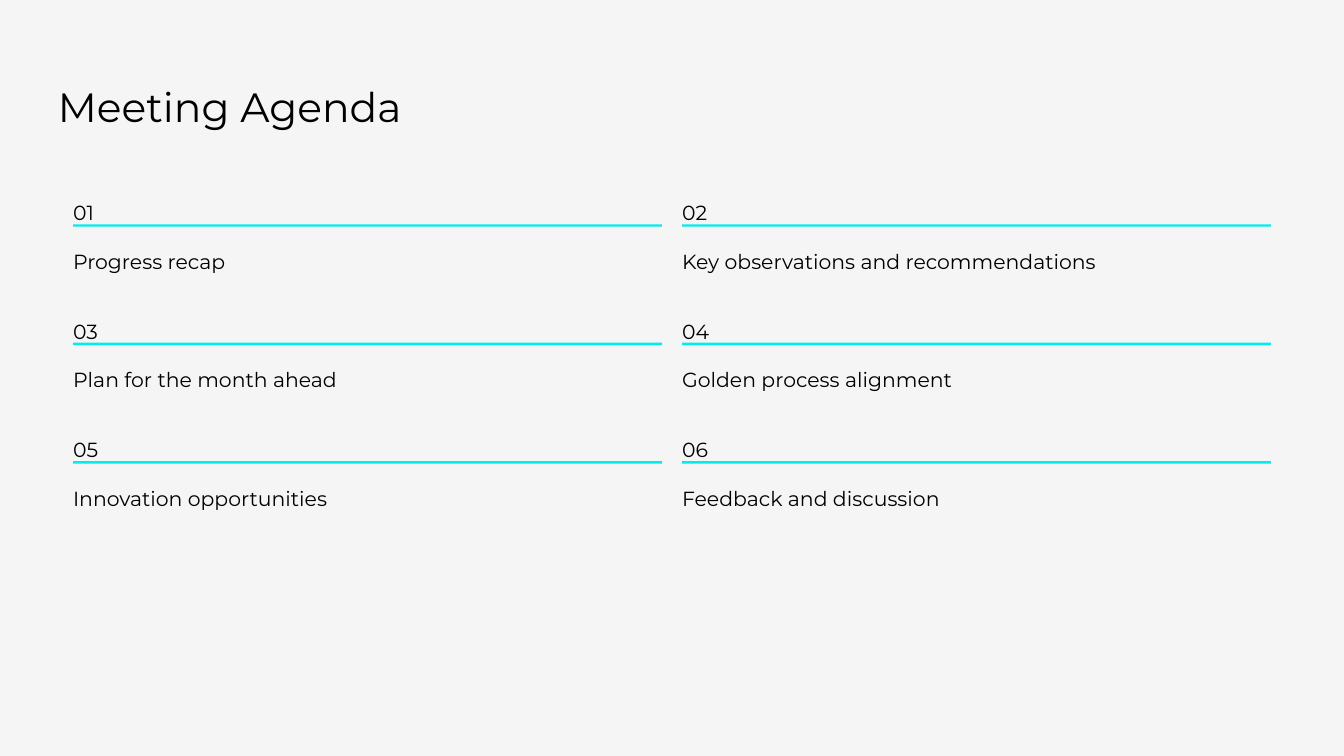
from pptx import Presentation
from pptx.dml.color import RGBColor
from pptx.enum.shapes import MSO_SHAPE
from pptx.enum.text import MSO_ANCHOR, MSO_AUTO_SIZE, PP_ALIGN
from pptx.util import Inches, Pt

RECT = MSO_SHAPE.RECTANGLE
TOP = MSO_ANCHOR.TOP
LEFT = PP_ALIGN.LEFT
NO_FIT = MSO_AUTO_SIZE.NONE

COLORS = {"background": "F5F5F5", "text": "000000", "rule": "00EDED"}
FONT = "Montserrat"
TITLE = "Meeting Agenda"
AGENDA = [
    "Progress recap",
    "Key observations and recommendations",
    "Plan for the month ahead",
    "Golden process alignment",
    "Innovation opportunities",
    "Feedback and discussion",
]
COLUMNS = 2
COLUMN_STEP, ROW_STEP = 7.25, 1.41
ITEM_WIDTH = 7.01


def rgb(name):
    """Return the named palette colour."""
    return RGBColor.from_string(COLORS[name])


def place(shape, left, top, width, height):
    """Move a shape to a box given in inches."""
    box = {"left": left, "top": top, "width": width, "height": height}
    for name, value in box.items():
        setattr(shape, name, Inches(value))


def write(shape, text, size, line_spacing):
    """Fill a shape with one left-aligned line of text."""
    tf = shape.text_frame
    frame_format = {
        "margin_left": 0, "margin_top": 0, "margin_right": 0, "margin_bottom": 0,
        "word_wrap": False, "auto_size": NO_FIT, "vertical_anchor": TOP,
    }
    for name, value in frame_format.items():
        setattr(tf, name, value)
    p = tf.paragraphs[0]
    p.alignment = LEFT
    p.line_spacing = Pt(line_spacing)
    r = p.add_run()
    r.text = text
    for name, value in {"name": FONT, "size": Pt(size), "bold": False}.items():
        setattr(r.font, name, value)
    r.font.color.rgb = rgb("text")


def add_label(s, text, left, top, width, height):
    """Add a line of agenda text."""
    tb = s.shapes.add_textbox(0, 0, 0, 0)
    place(tb, left, top, width, height)
    write(tb, text, 17.5, 28.5)


def add_item(s, number, topic, left, top, width):
    """Add a numbered agenda item with a rule between number and topic."""
    add_label(s, f"{number:02d}", left, top, 0.25, 0.31)
    rule = s.shapes.add_shape(RECT, 0, 0, 0, 0)
    place(rule, left, top + 0.39, width, 0.03)
    rule.shadow.inherit = False
    rule.fill.solid()
    rule.fill.fore_color.rgb = rgb("rule")
    rule.line.fill.background()
    add_label(s, topic, left, top + 0.58, width, 0.4)


def add_agenda(s, left, top):
    """Lay the agenda items out in a grid, row by row."""
    for index, topic in enumerate(AGENDA):
        row, column = divmod(index, COLUMNS)
        add_item(s, index + 1, topic, left + column * COLUMN_STEP,
                 top + row * ROW_STEP, ITEM_WIDTH)


def add_agenda_slide(prs):
    """Add the titled agenda slide."""
    s = prs.slides.add_slide(prs.slide_layouts[5])
    s.background.fill.solid()
    s.background.fill.fore_color.rgb = rgb("background")
    place(s.shapes.title, 0.69, 0.78, 6.2, 0.78)
    write(s.shapes.title, TITLE, 35, 55.5)
    add_agenda(s, 0.87, 2.28)


def main():
    """Build and save the presentation."""
    prs = Presentation()
    prs.slide_width, prs.slide_height = Inches(16), Inches(9)
    add_agenda_slide(prs)
    prs.save("out.pptx")


if __name__ == "__main__":
    main()
